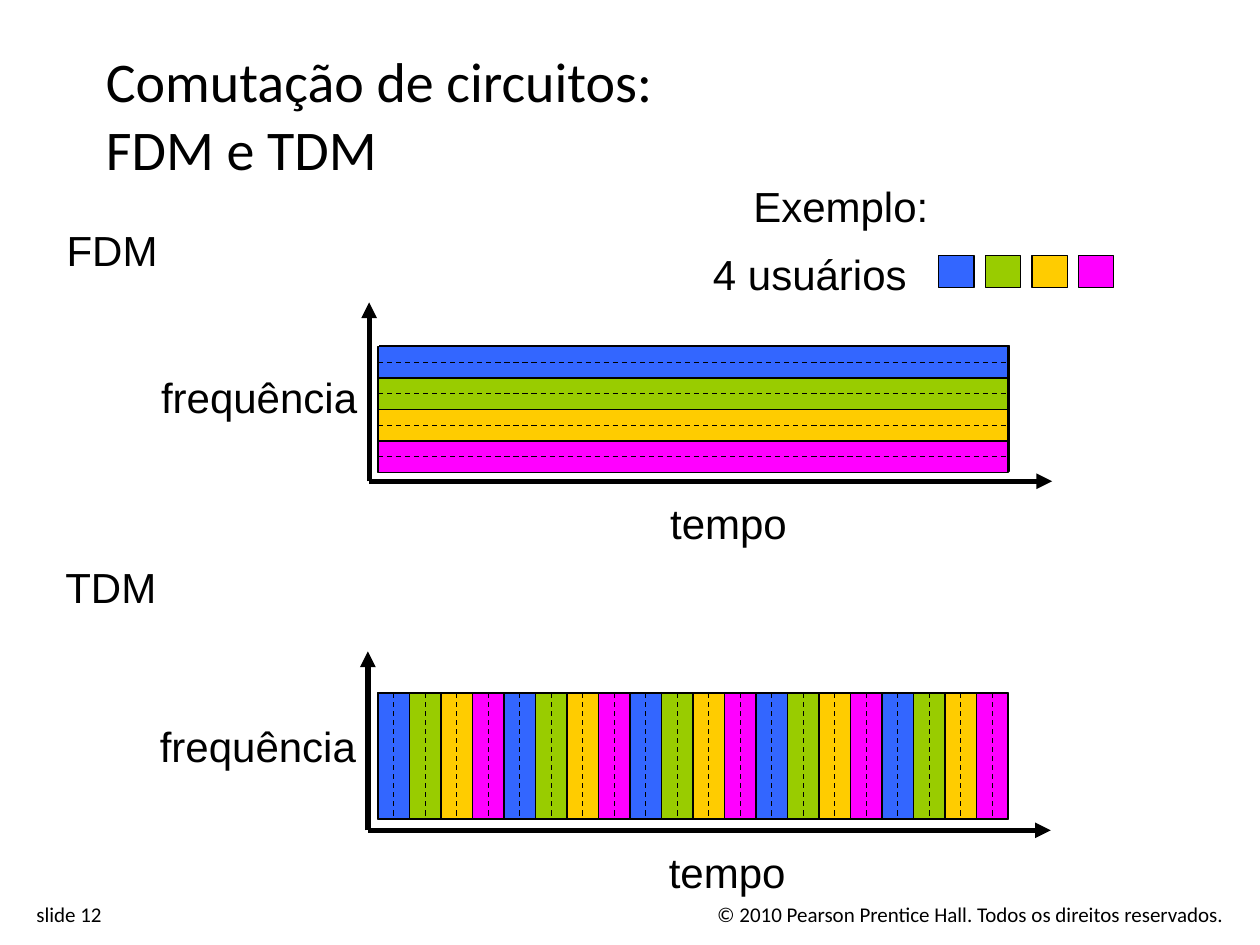
from pptx import Presentation
from pptx.dml.color import RGBColor
from pptx.enum.dml import MSO_LINE
from pptx.enum.shapes import MSO_CONNECTOR, MSO_SHAPE
from pptx.enum.text import MSO_ANCHOR, MSO_AUTO_SIZE, PP_ALIGN
from pptx.oxml.ns import qn
from pptx.util import Emu, Pt
from lxml.etree import SubElement

PX = 9144
COLORS = {
    "black": "000000", "white": "FFFFFF", "frame": "4F81BD",
    "blue": "3366FF", "green": "99CC00", "yellow": "FFCC00", "pink": "FF00FF",
}
USERS = ["blue", "green", "yellow", "pink"]
BAND = 25
LEFT, WIDTH, HEIGHT = 300, 500, 100


def px(*values):
    return [Emu(v * PX) for v in values]


def rgb(name):
    return RGBColor.from_string(COLORS[name])


def write(tf, text, size=24, font="Arial", color="black", align=PP_ALIGN.LEFT):
    p = tf.paragraphs[0]
    p.text = text
    p.alignment = align
    for r in p.runs:
        r.font.size = Pt(size)
        r.font.name = font
        r.font.color.rgb = rgb(color)


class Deck:
    thin = 0.75
    thick = 3

    def __init__(self, width, height):
        self.prs = Presentation()
        self.prs.slide_width, self.prs.slide_height = px(width, height)
        self.s = self.prs.slides.add_slide(self.prs.slide_layouts[5])
        fill = self.s.background.fill
        fill.solid()
        fill.fore_color.rgb = rgb("white")

    def title(self, text, x, y, w, h):
        sp = self.s.shapes.title
        sp.left, sp.top, sp.width, sp.height = px(x, y, w, h)
        tf = sp.text_frame
        tf.auto_size = MSO_AUTO_SIZE.NONE
        tf.vertical_anchor = MSO_ANCHOR.MIDDLE
        write(tf, text, size=32, font="Calibri")

    def text(self, text, x, y, w, h=50, wrap=False, grow=True, **fmt):
        tf = self.s.shapes.add_textbox(*px(x, y, w, h)).text_frame
        tf.word_wrap = wrap
        tf.auto_size = MSO_AUTO_SIZE.SHAPE_TO_FIT_TEXT if grow else MSO_AUTO_SIZE.NONE
        write(tf, text, **fmt)

    def rect(self, x, y, w, h, color):
        sp = self.s.shapes.add_shape(MSO_SHAPE.RECTANGLE, *px(x, y, w, h))
        sp.shadow.inherit = False
        sp.fill.solid()
        sp.fill.fore_color.rgb = rgb(color)
        sp.line.color.rgb = rgb("black")
        sp.line.width = Pt(self.thin)
        return sp

    def line(self, x1, y1, x2, y2, width=thin, arrow=False):
        c = self.s.shapes.add_connector(MSO_CONNECTOR.STRAIGHT, *px(x1, y1, x2, y2))
        c.line.color.rgb = rgb("black")
        c.line.width = Pt(width)
        if arrow:
            SubElement(c.line._get_or_add_ln(), qn("a:tailEnd"), type="triangle")
        SubElement(c._element.spPr, qn("a:effectLst"))
        return c

    def midline(self, sp, start, end):
        c = self.line(0, 0, 0, 0)
        c.line.dash_style = MSO_LINE.DASH
        c.begin_connect(sp, start)
        c.end_connect(sp, end)

    def axes(self, name, name_y, x, y):
        self.text(name, x - 250, name_y, 92)
        self.line(x, y, x, y - 142, self.thick, arrow=True)
        self.text("frequência", x - 175, y - 92, 178)
        self.line(x, y, x + 542, y, self.thick, arrow=True)
        self.text("tempo", x + 229, y + 8, 115)


def main():
    deck = Deck(1000, 750)
    deck.text("© 2010 Pearson Prentice Hall. Todos os direitos reservados.", 547, 711, 434, 23,
              wrap=True, grow=False, size=12, font="Calibri", align=PP_ALIGN.RIGHT)
    deck.text("slide 12", 19, 711, 352, 23, wrap=True, grow=False, size=12, font="Calibri")
    deck.title("Comutação de circuitos:\vFDM e TDM", 74, 28, 926, 125)

    deck.axes("FDM", 173, 293, 382)
    top = 275
    deck.rect(LEFT + 1, top - 1, WIDTH, HEIGHT, "frame")
    rows = [deck.rect(LEFT, top + i * BAND, WIDTH, BAND, user)
            for i, user in enumerate(USERS)]
    for y in range(top + BAND, top + HEIGHT, BAND):
        deck.line(LEFT, y, LEFT + WIDTH, y)
    for row in rows:
        deck.midline(row, 1, 3)

    deck.axes("TDM", 441, 292, 659)
    top = 550
    deck.rect(LEFT, top, WIDTH, HEIGHT, "frame")
    slots = [deck.rect(LEFT + i * BAND, top, BAND, HEIGHT, USERS[i % len(USERS)])
             for i in range(WIDTH // BAND)]
    for x in range(LEFT + BAND, LEFT + WIDTH, BAND):
        deck.line(x, top, x, top + HEIGHT)
    for slot in slots:
        deck.midline(slot, 0, 2)

    deck.text("Exemplo:", 588, 138, 159)
    deck.text("4 usuários", 556, 192, 192, wrap=True)
    for i, user in enumerate(USERS):
        deck.rect(745 + i * 37, 203, 28, 25, user)

    deck.prs.save("out.pptx")


if __name__ == "__main__":
    main()
